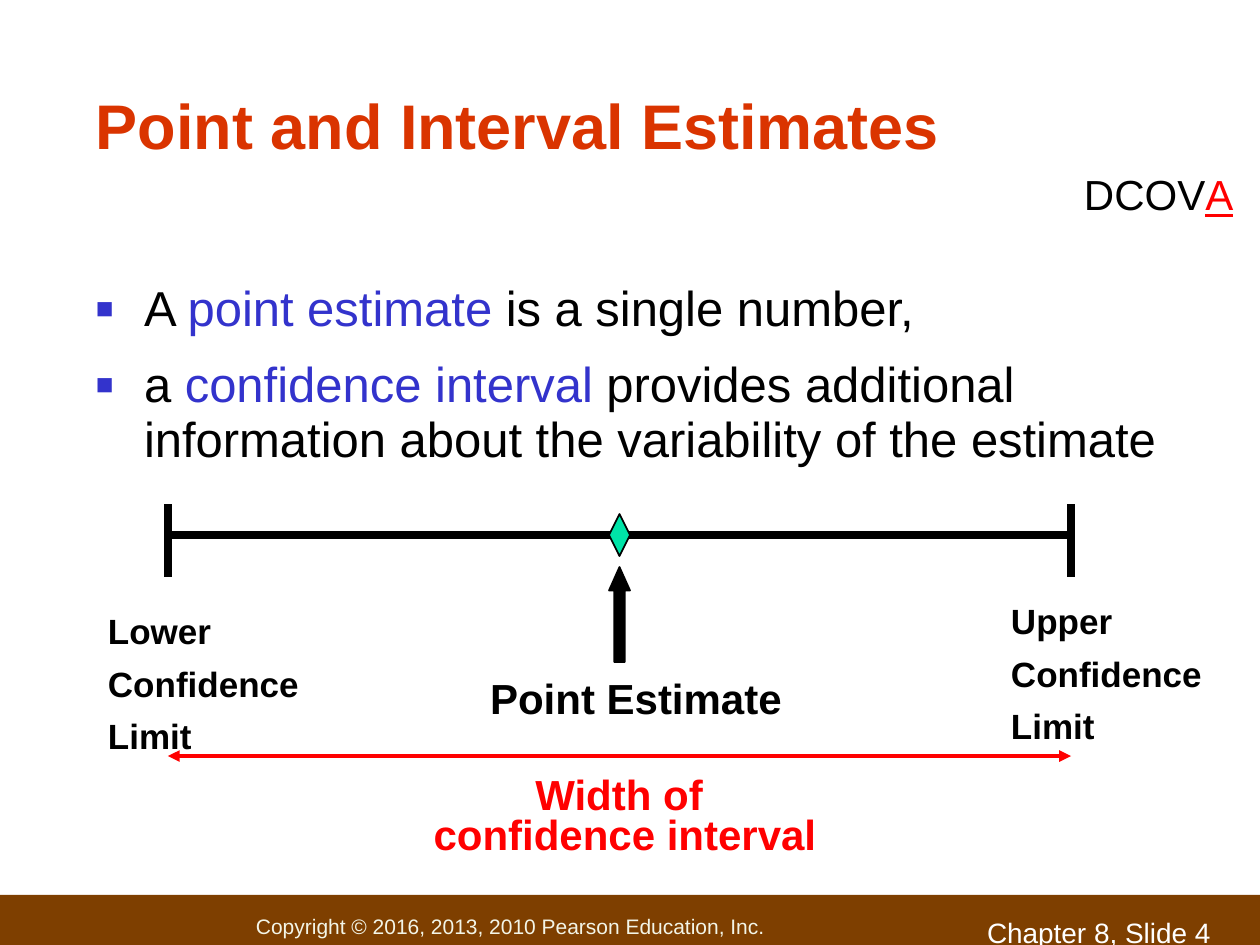
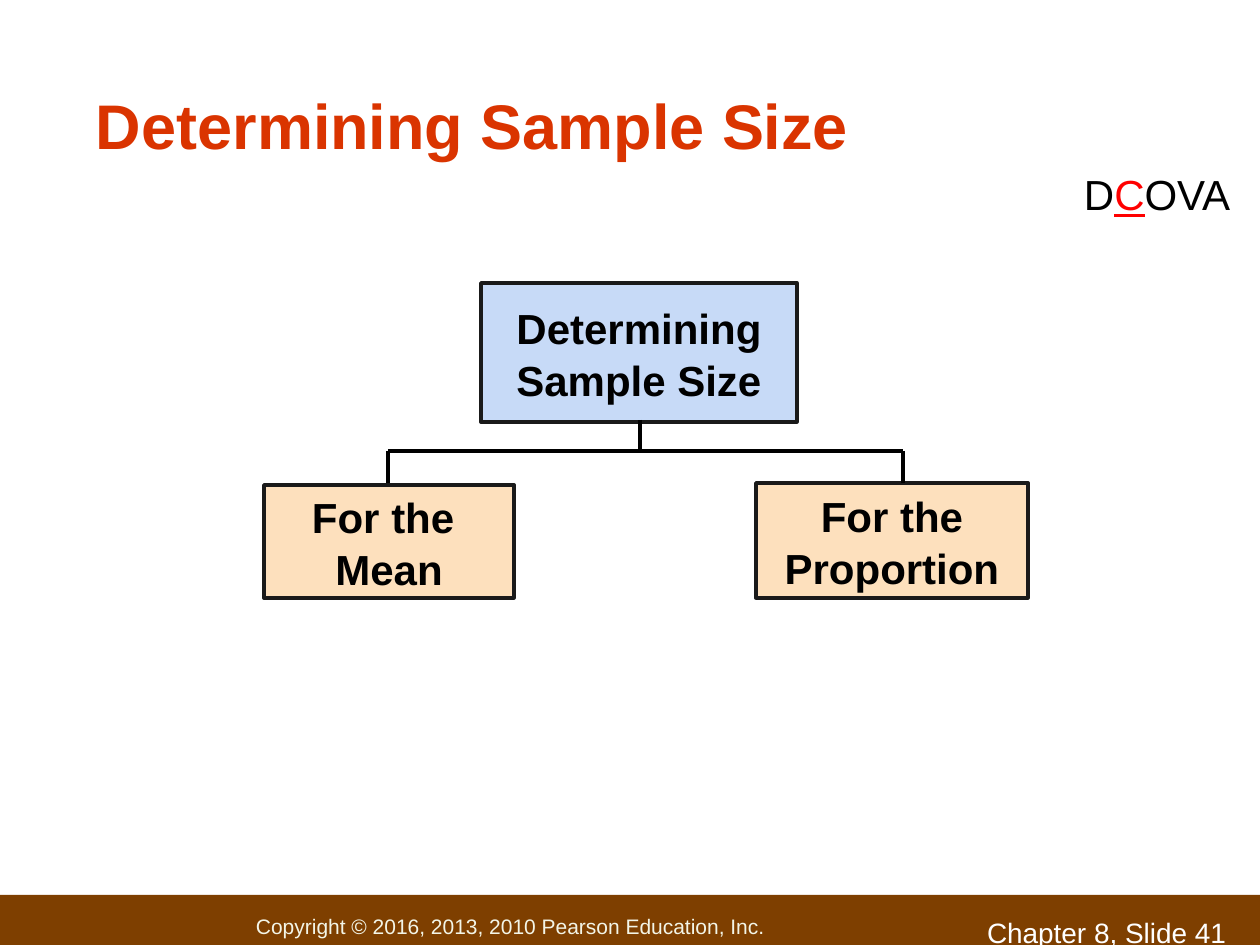
from dataclasses import dataclass

from lxml import etree
from pptx import Presentation
from pptx import util as u
from pptx.dml.color import RGBColor
from pptx.enum import shapes, text
from pptx.oxml import ns

PX = 914400 / 126  # EMU in one px


@dataclass(frozen=True)
class Theme:
    font: str = "Arial"
    black: str = "000000"
    white: str = "FFFFFF"
    title: str = "DA3400"
    term: str = "3333CC"
    alert: str = "FF0000"
    band: str = "7E3F00"
    copyright: str = "F3F5E7"
    diamond: str = "00E4A8"
    root_box: str = "C7DAF7"
    branch_box: str = "FDE0BD"
    box_line: str = "1A1A1A"
    title_size: int = 36
    body_size: int = 28
    label_size: int = 24
    limit_size: int = 20
    page_size: int = 16
    copyright_size: int = 12
    line_spacing: float = 1.04


theme = Theme()
LEFT, CENTER = text.PP_ALIGN.LEFT, text.PP_ALIGN.CENTER
TOP, MIDDLE, BOTTOM = text.MSO_ANCHOR.TOP, text.MSO_ANCHOR.MIDDLE, text.MSO_ANCHOR.BOTTOM


def write(shape, lines, size, color=theme.black, bold=False, align=LEFT, anchor=TOP):
    """Each line is a list of runs: plain text, or (text, color, underline)."""
    frame = shape.text_frame
    frame.word_wrap = True
    frame.vertical_anchor = anchor
    frame.margin_left = frame.margin_right = round(13 * PX)
    frame.margin_top = frame.margin_bottom = round(6 * PX)
    for index, runs in enumerate(lines):
        paragraph = frame.add_paragraph() if index else frame.paragraphs[0]
        paragraph.alignment = align
        paragraph.line_spacing = theme.line_spacing
        for part in runs:
            words, run_color, underline = (part, color, None) if isinstance(part, str) else part
            run = paragraph.add_run()
            run.text = words
            run.font.name = theme.font
            run.font.size = u.Pt(size)
            run.font.bold = bold
            run.font.underline = underline
            run.font.color.rgb = RGBColor.from_string(run_color)
    return frame


def add_line(slide, ends, width, color=theme.black, arrows=False):
    line = slide.shapes.add_connector(
        shapes.MSO_CONNECTOR.STRAIGHT, *(round(value * PX) for value in ends))
    line.line.width = u.Pt(width)
    line.line.color.rgb = RGBColor.from_string(color)
    properties = line._element.spPr
    if arrows:
        for end in ("a:headEnd", "a:tailEnd"):
            etree.SubElement(line.line._get_or_add_ln(), ns.qn(end), type="triangle")
    etree.SubElement(properties, ns.qn("a:effectLst"))


presentation = Presentation()
presentation.slide_width = round(1260 * PX)
presentation.slide_height = round(945 * PX)

# Shared frame: band, copyright, page number, title, DCOVA tag
slides = []
for title, page, tag in (
    ("Point and Interval Estimates", 4, ["DCOV", ("A", theme.alert, True)]),
    ("Determining Sample Size", 41, ["D", ("C", theme.alert, True), "OVA"]),
):
    slide = presentation.slides.add_slide(presentation.slide_layouts[6])
    slides.append(slide)
    band = slide.shapes.add_shape(
        shapes.MSO_SHAPE.RECTANGLE, 0, round(895 * PX), round(1260 * PX), round(62 * PX))
    band.shadow.inherit = False
    band.fill.solid()
    band.fill.fore_color.rgb = RGBColor.from_string(theme.band)
    band.line.fill.background()
    frame = write(band, [["Copyright © 2016, 2013, 2010 Pearson Education, Inc."]],
                  theme.copyright_size, theme.copyright, anchor=MIDDLE)
    frame.margin_left = round(256 * PX)

    for box, runs, size, color, bold, anchor in (
        ((974, 908, 286, 33), [f"Chapter 8, Slide {page}"], theme.page_size, theme.white, False, TOP),
        ((83, 32, 1092, 136), [title], theme.title_size, theme.title, True, BOTTOM),
        ((1071, 161, 186, 63), runs_tag, theme.label_size, theme.black, False, TOP)
        if (runs_tag := tag) else (),
    ):
        textbox = slide.shapes.add_textbox(*(round(value * PX) for value in box))
        write(textbox, [runs], size, color, bold, anchor=anchor)

interval_slide, sample_slide = slides

# Slide 1: definitions
body = interval_slide.shapes.add_textbox(*(round(value * PX) for value in (83, 276, 1105, 197)))
frame = write(body, [
    ["A ", ("point estimate", theme.term, None), " is a single number,"],
    ["a ", ("confidence interval", theme.term, None),
     " provides additional information about the variability of the estimate"],
], theme.body_size)
for paragraph in frame.paragraphs:
    paragraph.line_spacing = 0.94
    properties = paragraph._p.get_or_add_pPr()
    properties.set("marL", str(round(48 * PX)))
    properties.set("indent", str(round(-48 * PX)))
    bullet_color = etree.SubElement(properties, ns.qn("a:buClr"))
    etree.SubElement(bullet_color, ns.qn("a:srgbClr"), val=theme.term)
    etree.SubElement(properties, ns.qn("a:buSzPct"), val="60000")
    etree.SubElement(properties, ns.qn("a:buFont"), typeface=theme.font)
    etree.SubElement(properties, ns.qn("a:buChar"), char="■")
frame.paragraphs[1].space_before = u.Pt(12)

# Slide 1: interval with its limits and width
lower, upper, axis = 168, 1071, 535
add_line(interval_slide, (lower, axis, upper, axis), 4.5)
for limit in (lower, upper):
    add_line(interval_slide, (limit, 504, limit, 577), 4.5)
add_line(interval_slide, (lower, 756, upper, 756), 2.25, theme.alert, arrows=True)

# Slide 1: point estimate marker and arrow
for preset, box, fill in (
    (shapes.MSO_SHAPE.DIAMOND, (609, 514, 21, 42), theme.diamond),
    (shapes.MSO_SHAPE.UP_ARROW, (609, 567, 21, 95), theme.black),
):
    marker = interval_slide.shapes.add_shape(preset, *(round(value * PX) for value in box))
    marker.shadow.inherit = False
    marker.fill.solid()
    marker.fill.fore_color.rgb = RGBColor.from_string(fill)
    marker.line.color.rgb = RGBColor.from_string(theme.black)
    marker.line.width = u.Pt(1)
marker.adjustments[0] = 0.5
marker.adjustments[1] = 1.12

# Slide 1: labels
for box, lines, size, color, align, spacing, before in (
    ((389, 665, 494, 63), ["Point Estimate"], theme.label_size, theme.black, CENTER, 1.04, 0),
    ((95, 602, 242, 156), ["Lower", "Confidence", "Limit"],
     theme.limit_size, theme.black, LEFT, 1.04, 5),
    ((998, 592, 231, 156), ["Upper", "Confidence", "Limit"],
     theme.limit_size, theme.black, LEFT, 1.04, 5),
    ((378, 760, 494, 95), ["Width of ", "confidence interval"],
     theme.label_size, theme.alert, CENTER, 0.8, 0),
):
    label = interval_slide.shapes.add_textbox(*(round(value * PX) for value in box))
    frame = write(label, [[line] for line in lines], size, color, True, align)
    for paragraph in frame.paragraphs[1:]:
        paragraph.line_spacing = spacing
        paragraph.space_before = u.Pt(before)

# Slide 2: boxes of the tree
for box, lines, fill in (
    ((481, 283, 316, 139), ["Determining", "Sample Size"], theme.root_box),
    ((264, 485, 250, 113), ["For the ", "Mean"], theme.branch_box),
    ((756, 483, 272, 115), ["For the", "Proportion"], theme.branch_box),
):
    node = sample_slide.shapes.add_shape(
        shapes.MSO_SHAPE.RECTANGLE, *(round(value * PX) for value in box))
    node.shadow.inherit = False
    node.fill.solid()
    node.fill.fore_color.rgb = RGBColor.from_string(fill)
    node.line.color.rgb = RGBColor.from_string(theme.box_line)
    node.line.width = u.Pt(2)
    write(node, [[line] for line in lines], theme.label_size,
          bold=True, align=CENTER, anchor=MIDDLE)

# Slide 2: branches of the tree
root, mean, proportion, fork = 640, 388, 903, 451
add_line(sample_slide, (root, 420, root, fork), 2.25)
add_line(sample_slide, (mean, fork, proportion, fork), 2.25)
for branch in (mean, proportion):
    add_line(sample_slide, (branch, fork, branch, 483), 2.25)

presentation.save("out.pptx")
